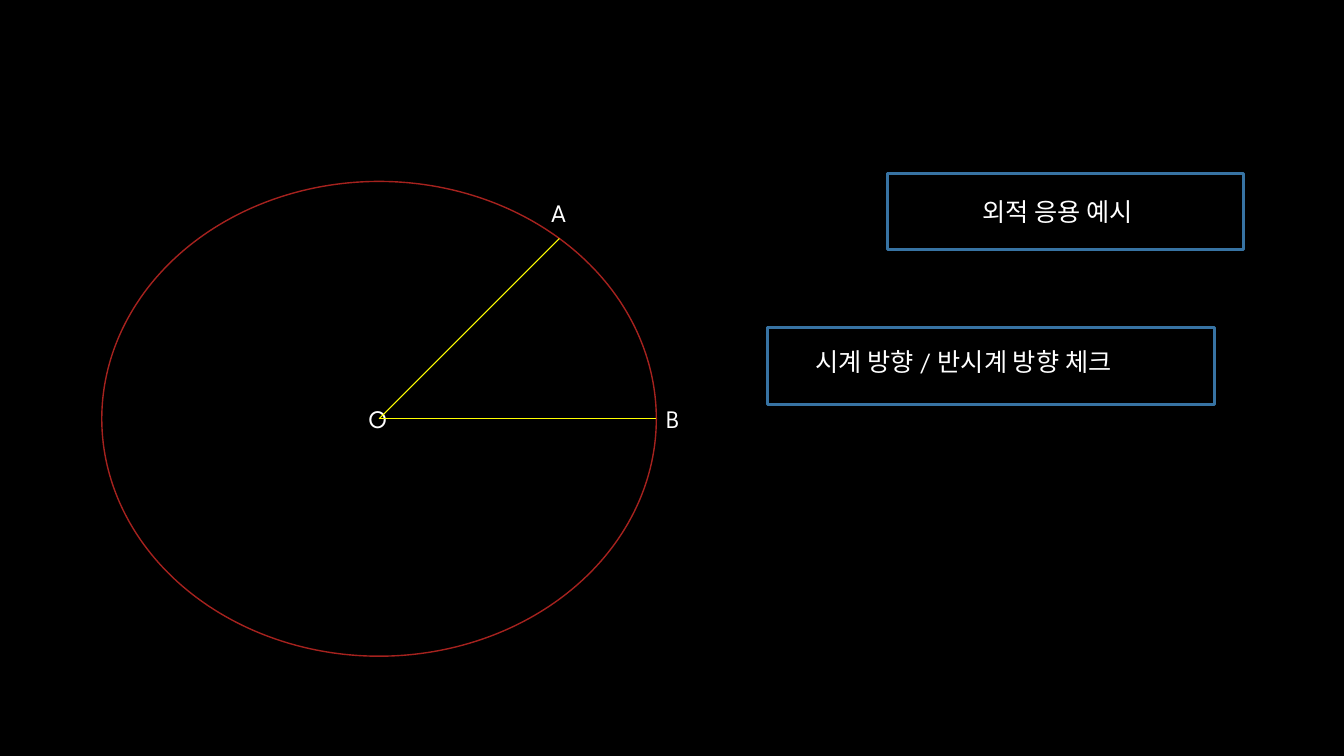
import math
from dataclasses import dataclass

import pptx
import pptx.dml.color
import pptx.enum.shapes
import pptx.enum.text
import pptx.oxml.ns
import pptx.util
from lxml import etree
from pptx.util import Inches


@dataclass(frozen=True)
class Theme:
    background: str = "000000"
    text: str = "FFFFFF"
    frame: str = "3773A3"
    circle: str = "A5221E"
    radius: str = "FFFF00"
    font: str = "League Spartan"
    text_size: float = 18
    frame_width: float = 2.25
    circle_width: float = 1
    radius_width: float = 0.75
    label_height: float = 0.4


THEME = Theme()
SHAPES = pptx.enum.shapes.MSO_SHAPE


def rgb(value):
    return pptx.dml.color.RGBColor.from_string(value)


def place(part, left, top, width, height):
    part.left, part.top = Inches(left), Inches(top)
    part.width, part.height = Inches(width), Inches(height)


def write(part, wording):
    """Set one left-aligned line of text in the theme's style."""
    frame = part.text_frame
    frame.text = wording
    frame.word_wrap = True
    frame.auto_size = pptx.enum.text.MSO_AUTO_SIZE.SHAPE_TO_FIT_TEXT
    frame.vertical_anchor = pptx.enum.text.MSO_ANCHOR.TOP
    paragraph = frame.paragraphs[0]
    paragraph.alignment = pptx.enum.text.PP_ALIGN.LEFT
    font = paragraph.runs[0].font
    font.name = THEME.font
    font.size = pptx.util.Pt(THEME.text_size)
    font.color.rgb = rgb(THEME.text)


def add_label(slide, wording, left, top, width):
    label = slide.shapes.add_textbox(
        Inches(left), Inches(top), Inches(width), Inches(THEME.label_height))
    write(label, wording)


def add_outline(slide, preset, box, color, width):
    outline = slide.shapes.add_shape(preset, *map(Inches, box))
    outline.shadow.inherit = False
    outline.fill.background()
    outline.line.color.rgb = rgb(color)
    outline.line.width = pptx.util.Pt(width)


def add_radius(slide, start, end):
    radius = slide.shapes.add_connector(
        pptx.enum.shapes.MSO_CONNECTOR.STRAIGHT, *map(Inches, (*start, *end)))
    radius.line.color.rgb = rgb(THEME.radius)
    radius.line.width = pptx.util.Pt(THEME.radius_width)
    etree.SubElement(radius._element.spPr, pptx.oxml.ns.qn("a:effectLst"))


def add_title_box(slide, box):
    left, top, width, height = box
    add_outline(slide, SHAPES.RECTANGLE, box, THEME.frame, THEME.frame_width)
    title = slide.shapes.title
    place(title, left + 0.84, top + 0.18, width - 0.96, THEME.label_height)
    write(title, "외적 응용 예시")


def add_check_box(slide, box):
    left, top, width, height = box
    add_outline(slide, SHAPES.RECTANGLE, box, THEME.frame, THEME.frame_width)
    add_label(slide, "시계 방향 / 반시계 방향 체크",
              left + 0.38, top + 0.14, width - 0.76)


def add_circle_diagram(slide, box):
    left, top, width, height = box
    add_outline(slide, SHAPES.OVAL, box, THEME.circle, THEME.circle_width)

    # A lies on the ellipse at 45 degrees from O, B at its right end
    half_width, half_height = width / 2, height / 2
    center_x, center_y = left + half_width, top + half_height
    offset = half_width * half_height / math.hypot(half_width, half_height)
    point_o = (center_x, center_y)
    point_a = (center_x + offset, center_y - offset)
    point_b = (left + width, center_y)

    # Point labels, each shifted from its point
    for name, (x, y), dx, dy in (("O", point_o, -0.2, -0.2),
                                 ("A", point_a, -0.18, -0.46),
                                 ("B", point_b, 0, -0.2)):
        add_label(slide, name, x + dx, y + dy, 0.84)

    # Radii OA and OB
    for end in (point_a, point_b):
        add_radius(slide, point_o, end)


def main():
    deck = pptx.Presentation()
    deck.slide_width, deck.slide_height = Inches(13.33), Inches(7.5)
    slide = deck.slides.add_slide(deck.slide_layouts.get_by_name("Title Only"))
    slide.background.fill.solid()
    slide.background.fill.fore_color.rgb = rgb(THEME.background)

    add_title_box(slide, (8.8, 1.72, 3.53, 0.76))
    add_circle_diagram(slide, (1.01, 1.8, 5.5, 4.71))
    add_check_box(slide, (7.61, 3.25, 4.44, 0.76))
    deck.save("out.pptx")


if __name__ == "__main__":
    main()
